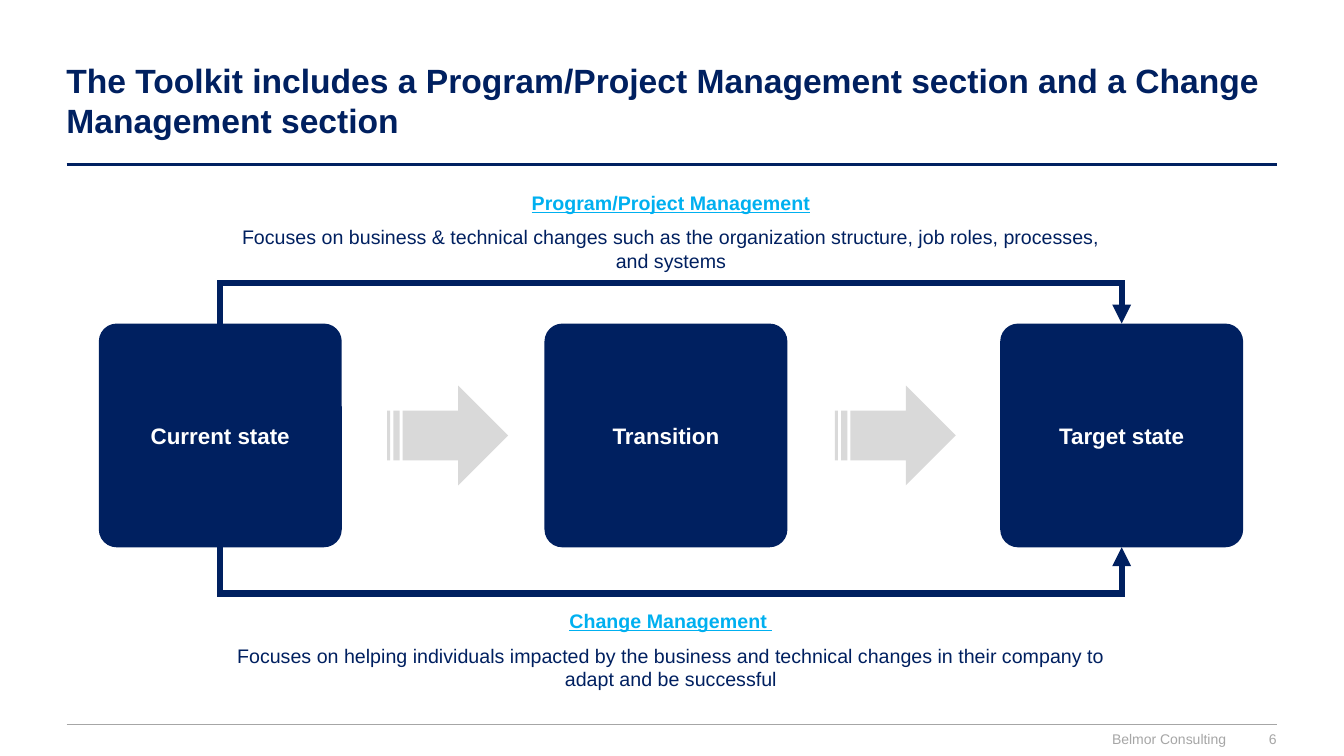
import pptx
import pptx.util
import pptx.dml.color
import pptx.enum.shapes
import pptx.enum.text
from lxml import etree

NAVY, CYAN, GREY, SILVER, WHITE = "002060", "00B0F0", "A6A6A6", "D9D9D9", "FFFFFF"
WIDTH, HEIGHT = 13.33, 7.5
MARGIN_LEFT, MARGIN_RIGHT = 0.66, 12.67

TITLE = "The Toolkit includes a Program/Project Management section and a Change Management section"
STATES = [("Current state", 0.98), ("Transition", 5.4), ("Target state", 9.92)]
STATE_TOP, STATE_WIDTH, STATE_HEIGHT = 3.21, 2.41, 2.22
STATE_BOTTOM = STATE_TOP + STATE_HEIGHT
ARROW_LEFTS, ARROW_WIDTH, ARROW_HEIGHT = (3.84, 8.28), 1.2, 0.99
TRACKS = [
    ("Program/Project Management",
     "Focuses on business & technical changes such as the organization structure, job roles, processes, and systems",
     1.84, STATE_TOP, 2.81),
    ("Change Management ",
     "Focuses on helping individuals impacted by the business and technical changes in their company to adapt and be successful",
     5.99, STATE_BOTTOM, 5.89),
]
RULES = [(1.63, NAVY, 2), (7.19, GREY, 1)]
FOOTERS = [("Belmor Consulting", 9.42, 2.74), ("6", 12.27, 0.39)]

ALIGN = pptx.enum.text.PP_ALIGN
ANCHOR = pptx.enum.text.MSO_ANCHOR
SHAPE = pptx.enum.shapes.MSO_SHAPE
inches = pptx.util.Inches


def color(value):
    """Turn a hex string into a colour."""
    return pptx.dml.color.RGBColor.from_string(value)


def style(paragraph, size, value, bold=False, underline=False, align=ALIGN.LEFT):
    """Format a paragraph and its runs."""
    paragraph.alignment = align
    for run in paragraph.runs:
        run.font.name = "Arial"
        run.font.size = pptx.util.Pt(size)
        run.font.bold = bold
        run.font.underline = underline
        run.font.color.rgb = color(value)


def add_text(slide, box, text, anchor=ANCHOR.TOP, inset=None):
    """Add a wrapping text box and return its text frame."""
    frame = slide.shapes.add_textbox(*map(inches, box)).text_frame
    frame.word_wrap = True
    frame.vertical_anchor = anchor
    if inset is not None:
        frame.margin_left = frame.margin_right = inches(inset)
        frame.margin_top = frame.margin_bottom = inches(inset)
    frame.text = text
    return frame


def add_filled(slide, kind, box, value):
    """Add a flat preset shape without outline."""
    shape = slide.shapes.add_shape(kind, *map(inches, box))
    shape.shadow.inherit = False
    shape.fill.solid()
    shape.fill.fore_color.rgb = color(value)
    shape.line.fill.background()
    return shape


def add_rule(slide, top, value, weight):
    """Add a horizontal line across the content width."""
    rule = slide.shapes.add_connector(
        pptx.enum.shapes.MSO_CONNECTOR.STRAIGHT,
        inches(MARGIN_LEFT), inches(top), inches(MARGIN_RIGHT), inches(top))
    rule.line.color.rgb = color(value)
    rule.line.width = pptx.util.Pt(weight)
    etree.SubElement(rule._element.spPr, pptx.oxml.ns.qn("a:effectLst"))


def add_bracket(slide, left, right, edge, level):
    """Add an angled arrow from the first state to the last."""
    builder = slide.shapes.build_freeform(inches(left), inches(edge))
    corners = [(left, level), (right, level), (right, edge)]
    builder.add_line_segments([tuple(map(inches, corner)) for corner in corners], close=False)
    bracket = builder.convert_to_shape()
    bracket.shadow.inherit = False
    bracket.fill.background()
    bracket.line.color.rgb = color(NAVY)
    bracket.line.width = pptx.util.Pt(4.5)
    outline = bracket.line._get_or_add_ln()
    etree.SubElement(outline, pptx.oxml.ns.qn("a:miter"), lim="800000")
    etree.SubElement(outline, pptx.oxml.ns.qn("a:tailEnd"), type="triangle")


def main():
    """Build and save the slide."""
    presentation = pptx.Presentation()
    presentation.slide_width, presentation.slide_height = inches(WIDTH), inches(HEIGHT)
    slide = presentation.slides.add_slide(presentation.slide_layouts[6])

    for rule in RULES:
        add_rule(slide, *rule)
    title = add_text(slide, (0.56, 0.4, 12.11, 1.18), TITLE, ANCHOR.MIDDLE)
    style(title.paragraphs[0], 24, NAVY, bold=True)

    first, last = (left + STATE_WIDTH / 2 for left in (STATES[0][1], STATES[-1][1]))
    for heading, detail, top, edge, level in TRACKS:
        add_bracket(slide, first, last, edge, level)
        frame = add_text(slide, (first, top, last - first, 0.92), heading)
        body = frame.add_paragraph()
        body.text = detail
        style(frame.paragraphs[0], 14, CYAN, bold=True, underline=True, align=ALIGN.CENTER)
        style(body, 14, NAVY, align=ALIGN.CENTER)
        frame.paragraphs[0].space_after = body.space_before = pptx.util.Pt(4)

    for name, left in STATES:
        state = add_filled(slide, SHAPE.ROUNDED_RECTANGLE,
                           (left, STATE_TOP, STATE_WIDTH, STATE_HEIGHT), NAVY)
        state.adjustments[0] = 0.08
        frame = state.text_frame
        frame.margin_left = frame.margin_right = 0
        frame.vertical_anchor = ANCHOR.MIDDLE
        frame.text = name
        style(frame.paragraphs[0], 16, WHITE, bold=True, align=ALIGN.CENTER)

    arrow_top = STATE_TOP + (STATE_HEIGHT - ARROW_HEIGHT) / 2
    for left in ARROW_LEFTS:
        add_filled(slide, SHAPE.STRIPED_RIGHT_ARROW,
                   (left, arrow_top, ARROW_WIDTH, ARROW_HEIGHT), SILVER)

    for text, left, width in FOOTERS:
        frame = add_text(slide, (left, 7.23, width, 0.21), text, ANCHOR.MIDDLE, inset=0)
        style(frame.paragraphs[0], 10, GREY, align=ALIGN.RIGHT)

    presentation.save("out.pptx")


if __name__ == "__main__":
    main()
